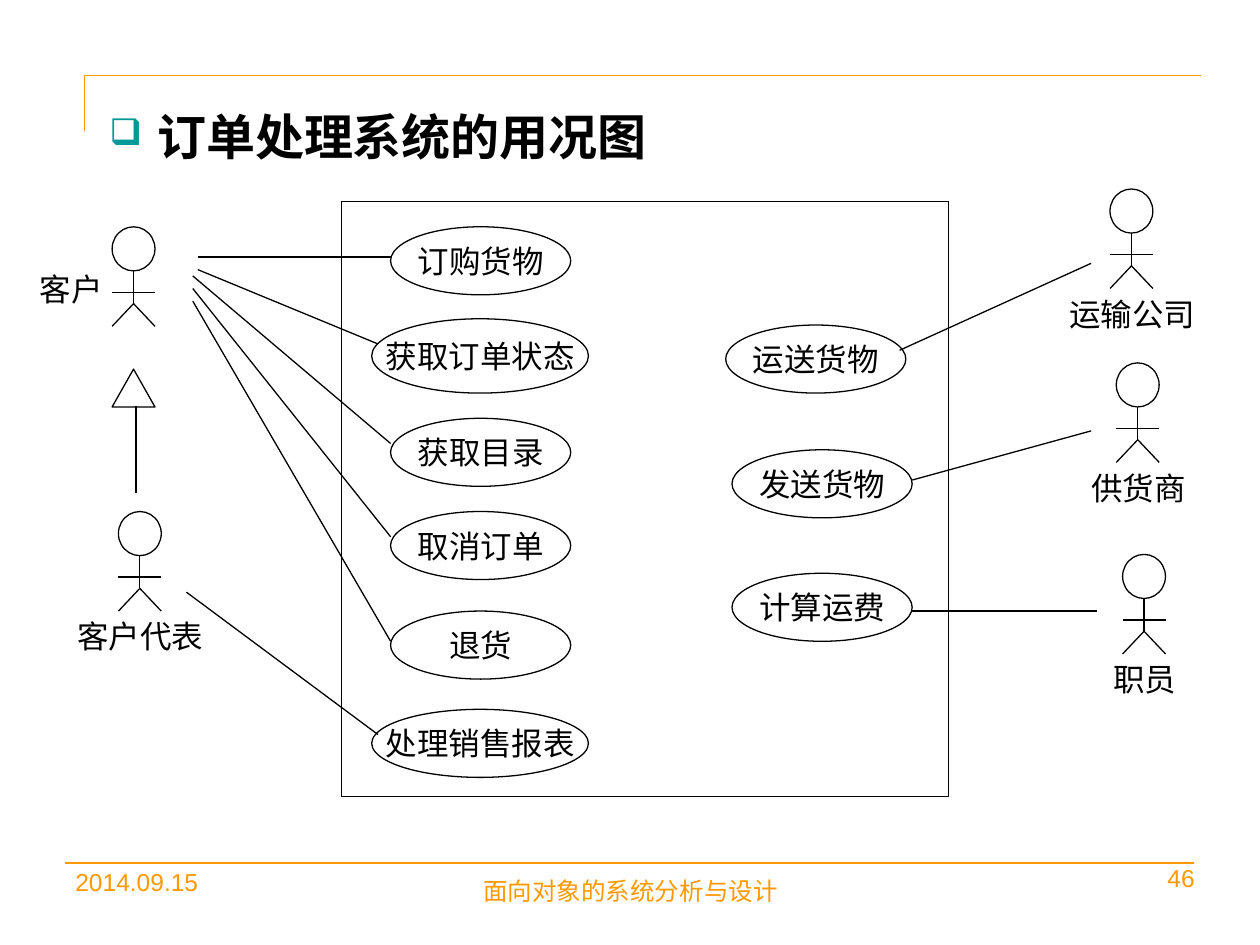
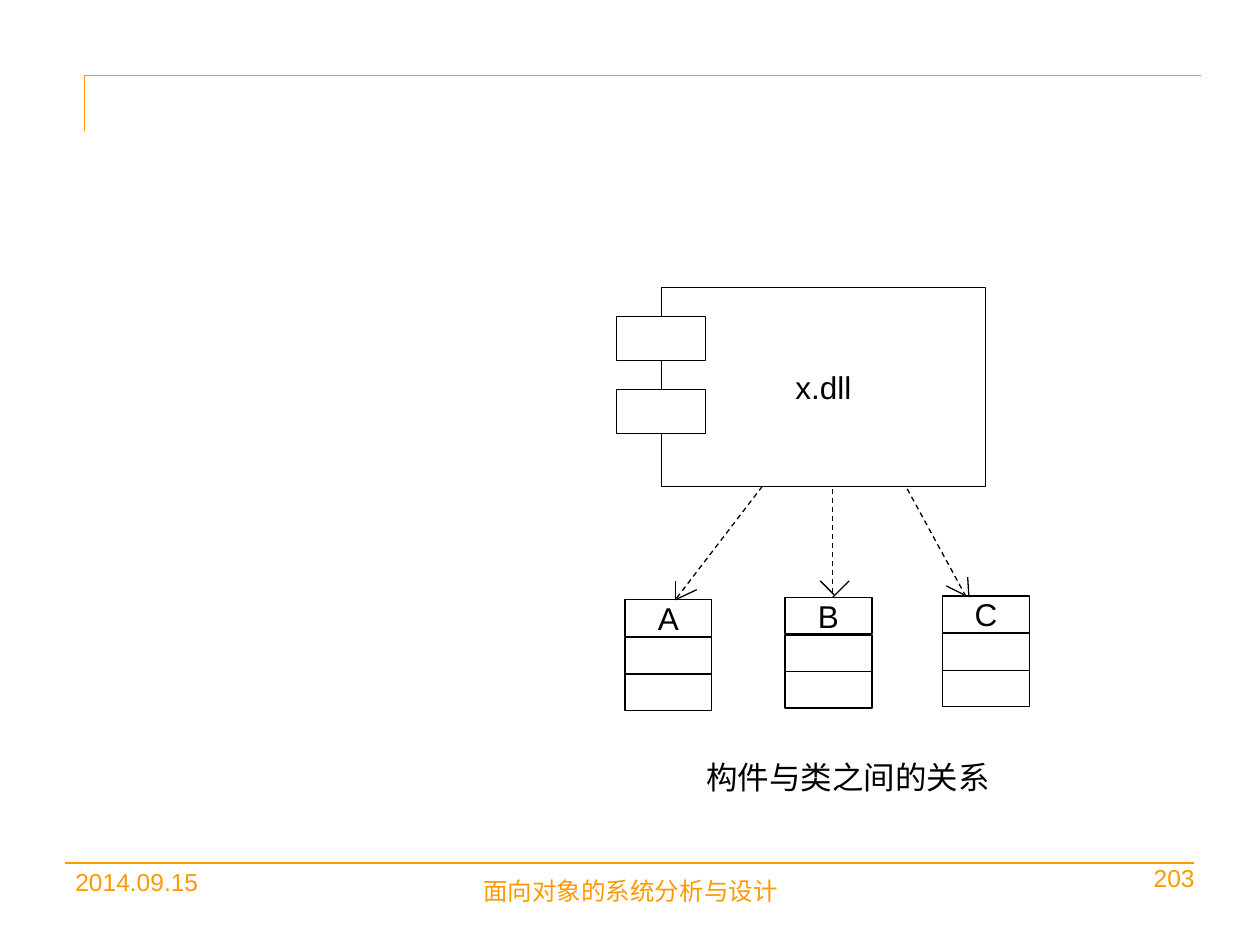
from lxml import etree
from pptx import Presentation
from pptx.dml.color import RGBColor
from pptx.enum.dml import MSO_LINE
from pptx.enum.shapes import MSO_CONNECTOR, MSO_SHAPE
from pptx.enum.text import MSO_ANCHOR, PP_ALIGN
from pptx.oxml.ns import qn
from pptx.util import Pt

PX = 9144  # EMU in one px, 100 px to the inch
FONT = "Arial"
COLORS = {"ink": "000000", "accent": "FF9900", "bullet": "009999", "paper": "FFFFFF"}
OVAL, RECT, TRIANGLE = MSO_SHAPE.OVAL, MSO_SHAPE.RECTANGLE, MSO_SHAPE.ISOSCELES_TRIANGLE
LEFT, CENTER, RIGHT = PP_ALIGN.LEFT, PP_ALIGN.CENTER, PP_ALIGN.RIGHT
MIDDLE, DASH, STRAIGHT = MSO_ANCHOR.MIDDLE, MSO_LINE.DASH, MSO_CONNECTOR.STRAIGHT


def add_line(slide, start, end, color="ink", dash=None):
    line = slide.shapes.add_connector(STRAIGHT, *[v * PX for v in (*start, *end)])
    line.line.color.rgb = RGBColor.from_string(COLORS[color])
    line.line.width = Pt(0.75)
    if dash:
        line.line.dash_style = dash
    etree.SubElement(line._element.spPr, qn("a:effectLst"))


def add_box(slide, box, text="", kind=None, fill=None, size=18, color="ink",
            align=CENTER, bold=None):
    """Add an outlined shape, or a plain text box when kind is None."""
    place = [v * PX for v in box]
    if kind is None:
        shape = slide.shapes.add_textbox(*place)
        shape.text_frame.word_wrap = True
    else:
        shape = slide.shapes.add_shape(kind, *place)
        shape.shadow.inherit = False
        shape.line.color.rgb = RGBColor.from_string(COLORS["ink"])
        shape.line.width = Pt(0.75)
        if fill:
            shape.fill.solid()
            shape.fill.fore_color.rgb = RGBColor.from_string(COLORS[fill])
        else:
            shape.fill.background()
        shape.text_frame.word_wrap = False
        shape.text_frame.vertical_anchor = MIDDLE
    if text:
        paragraph = shape.text_frame.paragraphs[0]
        paragraph.alignment = align
        run = paragraph.add_run()
        run.text = text
        run.font.name = FONT
        run.font.size = Pt(size)
        run.font.bold = bold
        run.font.color.rgb = RGBColor.from_string(COLORS[color])
    return shape


prs = Presentation()
prs.slide_width, prs.slide_height = 1000 * PX, 750 * PX

# Frame lines and footer shared by both slides
slides = []
for page_number in ("46", "203"):
    slide = prs.slides.add_slide(prs.slide_layouts[6])
    for start, end in [((953, 60), (67, 60)), ((67, 104), (67, 60)), ((948, 685), (52, 685))]:
        add_line(slide, start, end, "accent")
    for box, text, align in [
        ((874, 680, 84, 34), page_number, RIGHT),
        ((50, 683, 233, 52), "2014.09.15", LEFT),
        ((342, 690, 317, 45), "面向对象的系统分析与设计", CENTER),
    ]:
        add_box(slide, box, text, size=14, color="accent", align=align)
    slides.append(slide)
use_case_slide, component_slide = slides

# Slide 1: use case diagram of the order system
title = add_box(use_case_slide, (77, 80, 873, 590), "订单处理系统的用况图",
                size=28, align=LEFT, bold=True)
bullet = title.text_frame.paragraphs[0]._p.get_or_add_pPr()
bullet.set("marL", str(38 * PX))
bullet.set("indent", str(-38 * PX))
bullet_color = etree.SubElement(bullet, qn("a:buClr"))
etree.SubElement(bullet_color, qn("a:srgbClr"), val=COLORS["bullet"])
etree.SubElement(bullet, qn("a:buSzPct"), val="75000")
etree.SubElement(bullet, qn("a:buChar"), char="❑")

use_cases = [
    ("订购货物", 310, 180, 143, 54),
    ("获取订单状态", 295, 253, 172, 59),
    ("获取目录", 310, 332, 143, 54),
    ("取消订单", 310, 406, 143, 54),
    ("退货", 310, 485, 143, 54),
    ("处理销售报表", 295, 563, 172, 54),
    ("运送货物", 576, 258, 143, 54),
    ("发送货物", 581, 357, 143, 54),
    ("计算运费", 581, 455, 143, 54),
]
for use_case, *box in use_cases:
    add_box(use_case_slide, box, use_case, OVAL)
add_box(use_case_slide, (271, 160, 482, 472), kind=RECT)  # system boundary

HEAD_WIDTH, HEAD_HEIGHT = 34, 35
actors = [
    ("客户", 89, 180, (0, 209, 113, 40)),
    ("客户代表", 94, 406, None),
    ("运输公司", 881, 150, None),
    ("供货商", 886, 288, None),
    ("职员", 891, 440, None),
]
for actor, left, top, label_box in actors:
    center, right = left + HEAD_WIDTH // 2, left + HEAD_WIDTH
    hip = (center, top + 61)
    add_box(use_case_slide, (left, top, HEAD_WIDTH, HEAD_HEIGHT), kind=OVAL)
    add_line(use_case_slide, (left, top + 52), (right, top + 52))
    add_line(use_case_slide, hip, (center, top + HEAD_HEIGHT))
    for foot in (left, right):
        add_line(use_case_slide, hip, (foot, top + 79))
    add_box(use_case_slide, label_box or (center - 66, top + 79, 133, 40), actor)

associations = [
    ((157, 204), (310, 204)),
    ((157, 214), (300, 273)),
    ((153, 219), (310, 352)),
    ((153, 229), (310, 426)),
    ((153, 239), (310, 509)),
    ((148, 470), (300, 583)),
    ((714, 278), (866, 209)),
    ((724, 381), (866, 342)),
    ((724, 485), (871, 485)),
]
for start, end in associations:
    add_line(use_case_slide, start, end)

# Generalization from the representative to the customer
add_line(use_case_slide, (108, 391), (108, 322))
add_box(use_case_slide, (89, 293, 34, 30), kind=TRIANGLE)

# Slide 2: component and the classes it depends on
add_box(component_slide, (525, 228, 257, 158), "x.dll", RECT)
for tab_top in (251, 309):
    add_box(component_slide, (489, tab_top, 71, 35), kind=RECT, fill="paper")

ROW_PITCH = 59 / 2  # three class compartments span two pitches and a row
for class_name, left, top in [("A", 496, 476), ("B", 623, 474), ("C", 748, 473)]:
    for row, text in enumerate((class_name, "", "")):
        add_box(component_slide, (left, top + round(row * ROW_PITCH), 69, 29), text, RECT)

dependencies = [
    ((605, 386), (536, 476)),
    ((661, 388), (661, 472)),
    ((720, 388), (767, 474)),
]
for start, end in dependencies:
    add_line(component_slide, start, end, dash=DASH)

open_arrowheads = [
    ((536, 475), (536, 461)),
    ((536, 476), (553, 468)),
    ((662, 472), (651, 461)),
    ((661, 474), (674, 461)),
    ((765, 472), (751, 465)),
    ((769, 474), (768, 458)),
]
for tip, barb in open_arrowheads:
    add_line(component_slide, tip, barb)

add_box(component_slide, (543, 597, 260, 40), "构件与类之间的关系")

prs.save("out.pptx")
